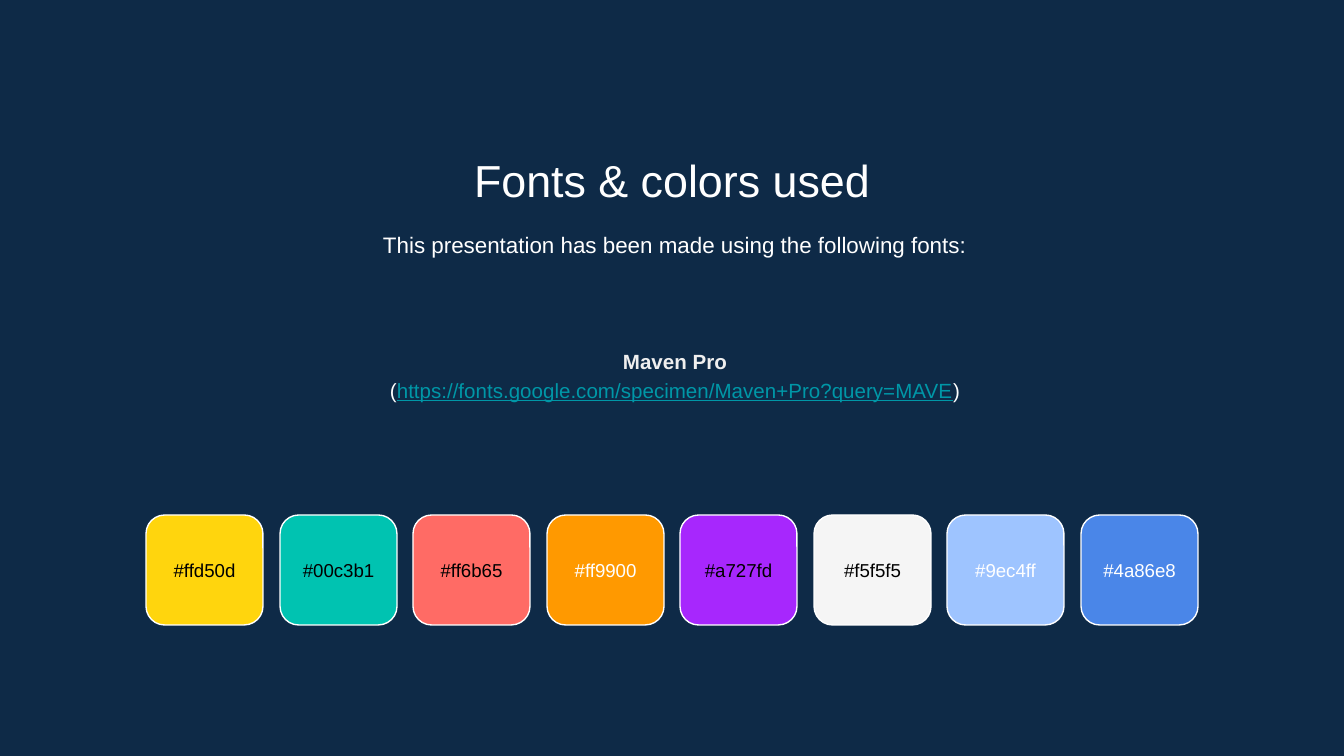
from pptx import Presentation
from pptx.dml.color import RGBColor as RGB
from pptx.enum.shapes import MSO_SHAPE as SHAPE
from pptx.enum.text import MSO_ANCHOR as ANCHOR, PP_ALIGN as ALIGN
from pptx.util import Pt

PX = 914400 / 134.4  # EMU in one px
INK = {
    "navy": "0E2A47",
    "white": "FFFFFF",
    "black": "000000",
    "pale": "EFEFEF",
    "link": "0097A7",
}


def px(*vals):
    return [round(v * PX) for v in vals]


def add_text(box, lines, size, anchor=ANCHOR.TOP, space=1.0):
    """Each line is a list of (text, colour, bold, underline) runs."""
    frame = slide.shapes.add_textbox(*px(*box)).text_frame
    frame.word_wrap = True
    frame.vertical_anchor = anchor
    pad = px(13)[0]
    frame.margin_left = frame.margin_right = pad
    frame.margin_top = frame.margin_bottom = pad
    for i, line in enumerate(lines):
        para = frame.paragraphs[0] if i == 0 else frame.add_paragraph()
        para.alignment = ALIGN.CENTER
        para.line_spacing = space
        para.font.name = "Arial"
        para.font.size = Pt(size)
        for text, ink, bold, under in line:
            run = para.add_run()
            run.text = text
            run.font.bold = bold
            run.font.underline = under
            run.font.color.rgb = RGB.from_string(INK[ink])


deck = Presentation()
deck.slide_width, deck.slide_height = px(1344, 756)
slide = deck.slides.add_slide(deck.slide_layouts[6])
slide.background.fill.solid()
slide.background.fill.fore_color.rgb = RGB.from_string(INK["navy"])

# Title and intro
add_text((154, 140, 1036, 71),
         [[("Fonts & colors used", "white", False, False)]], 24)
add_text((157, 214, 1036, 64),
         [[("This presentation has been made using the following fonts:",
            "white", False, False)]], 12, space=1.15)

# Font name and address
add_text((157, 282, 1036, 184), [
    [("Maven Pro", "pale", True, False)],
    [("(", "white", False, False),
     ("https://fonts.google.com/specimen/Maven+Pro?query=MAVE",
      "link", False, True),
     (")", "white", False, False)],
], 11, ANCHOR.MIDDLE, 1.15)

# Colour swatches, each with its code
swatches = [
    ("ffd50d", "black"), ("00c3b1", "black"),
    ("ff6b65", "black"), ("ff9900", "white"),
    ("a727fd", "black"), ("f5f5f5", "black"),
    ("9ec4ff", "white"), ("4a86e8", "white"),
]
first, last, wide = 146, 1081, 117
step = (last - first) / (len(swatches) - 1)
for i, (code, ink) in enumerate(swatches):
    left = round(first + i * step)
    tile = slide.shapes.add_shape(SHAPE.ROUNDED_RECTANGLE,
                                  *px(left, 515, wide, 110))
    tile.shadow.inherit = False
    tile.adjustments[0] = 0.17
    tile.fill.solid()
    tile.fill.fore_color.rgb = RGB.from_string(code.upper())
    tile.line.color.rgb = RGB.from_string(INK["white"])
    tile.line.width = Pt(0.75)
    add_text((left, 538, wide, 64), [[("#" + code, ink, False, False)]],
             10, ANCHOR.MIDDLE)

deck.save("out.pptx")
